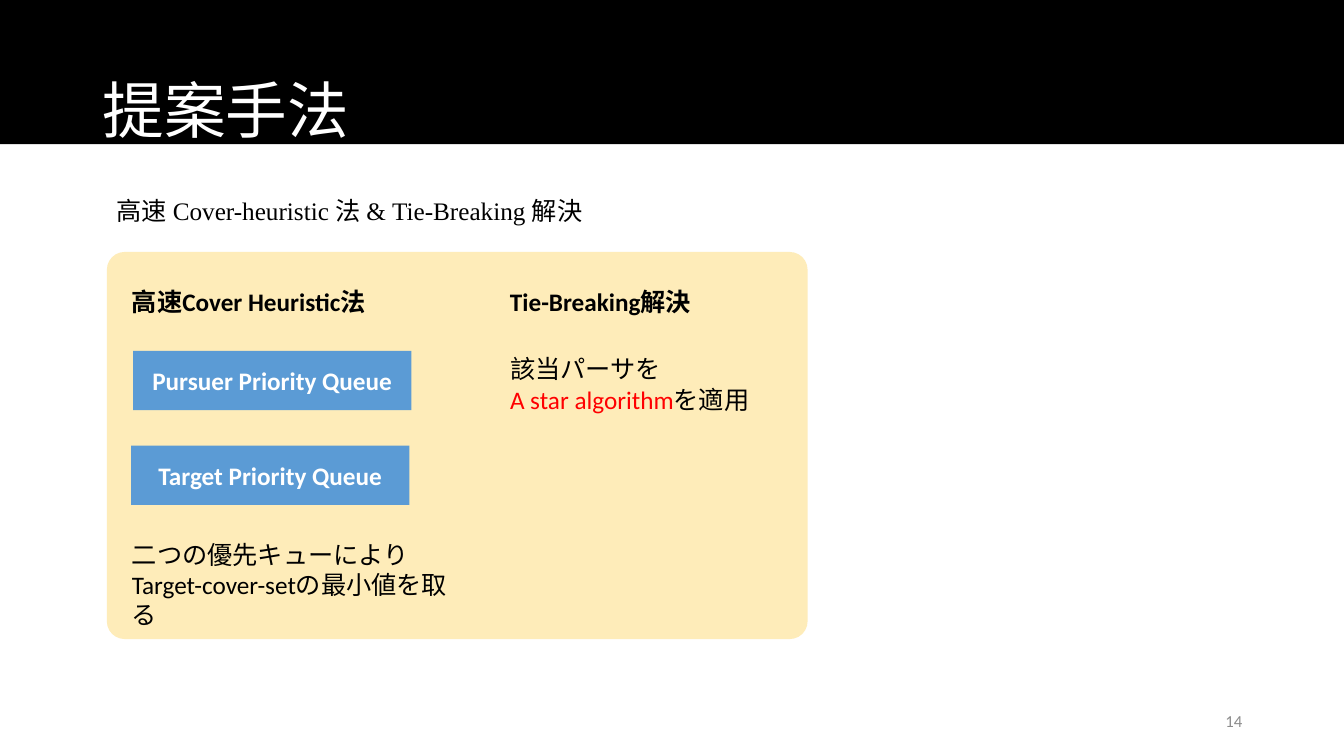
from pptx import Presentation
from pptx.dml.color import RGBColor
from pptx.enum.shapes import MSO_SHAPE as Shape
from pptx.enum.text import MSO_ANCHOR as Anchor, PP_ALIGN as Align
from pptx.util import Inches, Pt

WIDE, HIGH = 13.33, 7.5
BLACK, WHITE, RED = "000000", "FFFFFF", "FF0000"
BLUE, CREAM, GREY = "5B9BD5", "FEECB9", "8C8C8C"

TITLE = "提案手法"
LEAD = "高速 Cover-heuristic 法 & Tie-Breaking 解決"
HEADS = ["高速Cover Heuristic法", "Tie-Breaking解決"]
QUEUES = [("Pursuer Priority Queue", 1.32), ("Target Priority Queue", 1.3)]
RESULT = "二つの優先キューによりTarget-cover-setの最小値を取る"
TIE = ["該当パーサを", [("A star algorithm", RED), ("を適用", BLACK)]]
PAGE = "14"

COLS = [1.21, 4.96]
HEAD_TOP, BOX_TOP, BOX_STEP = 2.79, 3.48, 0.94


def color(code):
    """Turn a hex string into a colour."""
    return RGBColor.from_string(code)


def write(shape, lines, size=18, font="Calibri", ink=BLACK, bold=False,
          align=Align.LEFT, anchor=Anchor.TOP, space=1.0):
    """Fill a shape with lines; a line is a string or (text, ink) runs."""
    frame = shape.text_frame
    frame.word_wrap = True
    frame.vertical_anchor = anchor
    for i, line in enumerate([lines] if isinstance(lines, str) else lines):
        para = frame.add_paragraph() if i else frame.paragraphs[0]
        para.alignment, para.line_spacing = align, space
        for text, tint in [(line, ink)] if isinstance(line, str) else line:
            run = para.add_run()
            run.text = text
            run.font.name, run.font.size = font, Pt(size)
            run.font.bold = bold
            run.font.color.rgb = color(tint)


def text(lines, left, top, wide, high, **form):
    """Add a text box with its format."""
    box = slide.shapes.add_textbox(*map(Inches, (left, top, wide, high)))
    write(box, lines, **form)


def block(left, top, wide, high, fill, kind=Shape.RECTANGLE):
    """Add a plain filled shape without line or shadow."""
    shape = slide.shapes.add_shape(kind, *map(Inches, (left, top, wide, high)))
    shape.shadow.inherit = False
    shape.fill.solid()
    shape.fill.fore_color.rgb = color(fill)
    shape.line.fill.background()
    return shape


deck = Presentation()
deck.slide_width, deck.slide_height = Inches(WIDE), Inches(HIGH)
slide = deck.slides.add_slide(deck.slide_layouts[6])

block(0, 0, WIDE, 1.43, BLACK)
text(TITLE, 0.92, 0.4, 11.5, 1.45, size=44, ink=WHITE,
     anchor=Anchor.MIDDLE, space=0.9)
text(LEAD, 1.06, 1.89, 5.15, 0.4, font="Times New Roman")

panel = block(1.06, 2.5, 6.95, 3.84, CREAM, Shape.ROUNDED_RECTANGLE)
panel.adjustments[0] = 0.046
for head, left in zip(HEADS, COLS):
    text(head, left, HEAD_TOP, 2.74, 0.4, bold=True)
for row, (name, left) in enumerate(QUEUES):
    queue = block(left, BOX_TOP + row * BOX_STEP, 2.76, 0.59, BLUE)
    write(queue, name, ink=WHITE, bold=True,
          align=Align.CENTER, anchor=Anchor.MIDDLE)
text(RESULT, COLS[0], 5.3, 3.56, 0.71)
text(TIE, COLS[1], 3.46, 2.95, 0.71)

text(PAGE, 9.42, 6.95, 3, 0.4, size=12, ink=GREY,
     align=Align.RIGHT, anchor=Anchor.MIDDLE)

deck.save("out.pptx")
